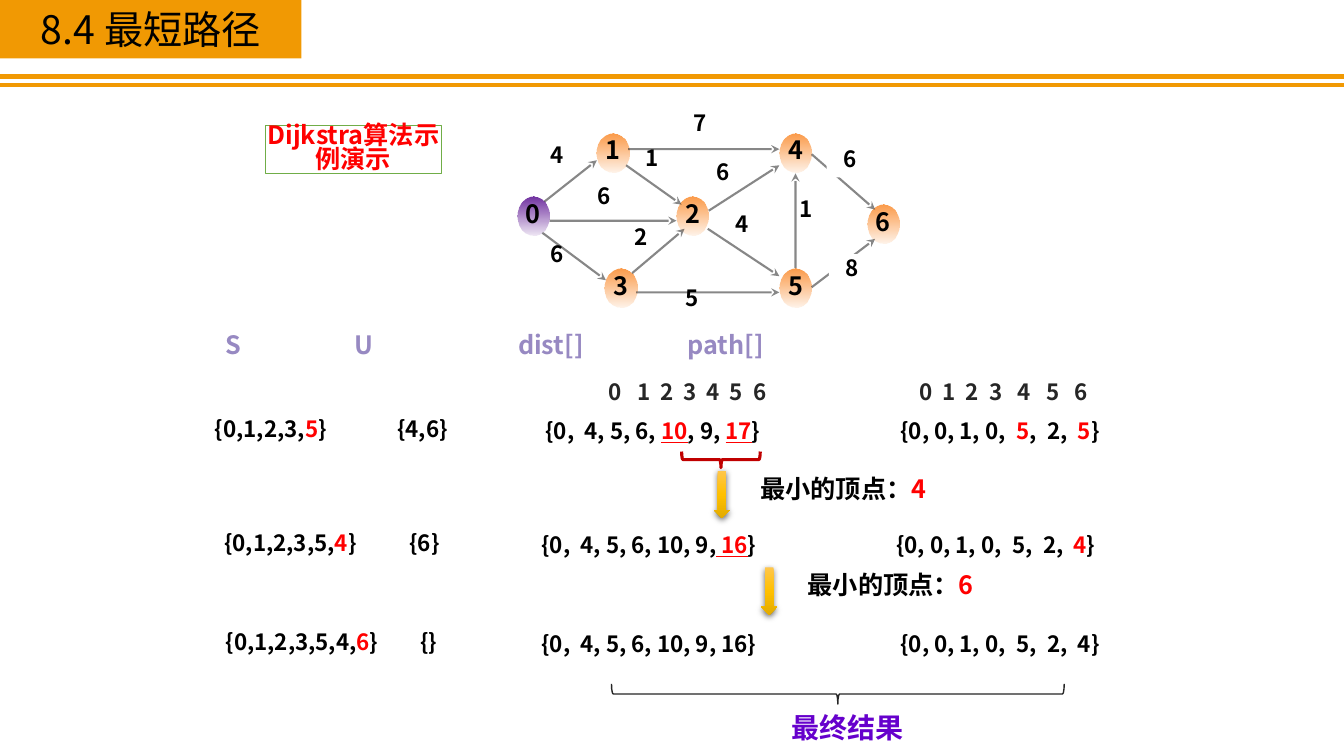
from lxml import etree
from pptx import Presentation
from pptx.dml.color import RGBColor
from pptx.enum.shapes import MSO_CONNECTOR, MSO_SHAPE as SHAPE
from pptx.enum.text import MSO_ANCHOR, MSO_AUTO_SIZE, PP_ALIGN as ALIGN
from pptx.oxml import parse_xml
from pptx.oxml.ns import nsdecls, qn
from pptx.util import Pt

PX = 9144
FONT = "Noto Sans CJK SC"
COLORS = {
    "bar": "F19903", "black": "000000", "dark": "262626", "white": "FFFFFF",
    "red": "FF0000", "brace": "C00000", "green": "70AD47", "head": "9789C2",
    "result": "6600CC", "start": "7030A0", "node": "FC9A48",
    "arrow_top": "FFC64B", "arrow_mid": "FFC000", "arrow_end": "E3AB00",
}
RGB = {name: RGBColor.from_string(value) for name, value in COLORS.items()}


def emu(*lengths):
    return [n * PX for n in lengths]


def write(sp, text, size=16, color="black", bold=True, inset=(0, 0, 0, 0),
          align=ALIGN.CENTER, tabs=(), underline=False):
    """Fill a shape with one paragraph; parts between bars turn red."""
    tf = sp.text_frame
    tf.word_wrap = True
    tf.auto_size = MSO_AUTO_SIZE.SHAPE_TO_FIT_TEXT
    tf.vertical_anchor = MSO_ANCHOR.TOP
    tf.margin_left, tf.margin_top, tf.margin_right, tf.margin_bottom = emu(*inset)
    p = tf.paragraphs[0]
    p.alignment = align
    p.line_spacing = 0.8
    if tabs:
        tab_list = etree.SubElement(p._p.get_or_add_pPr(), qn("a:tabLst"))
        for pos in tabs:
            etree.SubElement(tab_list, qn("a:tab"), pos=str(pos * PX), algn="l")
    for i, part in enumerate(text.split("|")):
        marked = i % 2 == 1
        r = p.add_run()
        r.text = part
        r.font.size = Pt(size)
        r.font.bold = bold
        r.font.color.rgb = RGB["red" if marked else color]
        if marked and underline:
            r.font.underline = True
        r.font.name = FONT
        etree.SubElement(r._r.get_or_add_rPr(), qn("a:ea"), typeface=FONT)


prs = Presentation()
prs.slide_width, prs.slide_height = emu(1333, 750)
s = prs.slides.add_slide(prs.slide_layouts[6])
shapes = s.shapes
PAD = (10, 5, 10, 5)
gradients = []

# Title bar
sp = shapes.add_shape(SHAPE.RECTANGLE, *emu(0, 0, 299, 58))
sp.shadow.inherit = False
sp.fill.solid()
sp.fill.fore_color.rgb = RGB["bar"]
sp.line.fill.background()
write(sp, "8.4 最短路径", 28, bold=False, inset=(6, 14, 6, 6))

# Graph nodes
nodes = [("0", 513, 195), ("1", 592, 132), ("3", 600, 266), ("2", 671, 195),
         ("4", 773, 132), ("5", 773, 266), ("6", 860, 203)]
for name, x, y in nodes:
    sp = shapes.add_shape(SHAPE.OVAL, *emu(x, y, 32, 39))
    sp.shadow.inherit = False
    sp.line.fill.background()
    write(sp, name, 18, inset=PAD)
    sp.text_frame.word_wrap = False
    sp.text_frame.auto_size = MSO_AUTO_SIZE.NONE
    sp.text_frame.vertical_anchor = MSO_ANCHOR.MIDDLE
    color = "start" if name == "0" else "node"
    gradients.append((sp, [(0, color, 100), (100, color, 10)]))

# Title rules and graph edges
rules = [(0, y, 1333, y) for y in (76, 84)]
edges = [
    (540, 200, 592, 159), (545, 219, 671, 219), (538, 231, 601, 278),
    (623, 148, 773, 148), (631, 290, 773, 290), (627, 271, 679, 227),
    (621, 164, 676, 203), (703, 209, 773, 164), (702, 227, 773, 274),
    (789, 266, 789, 172), (805, 285, 868, 237), (805, 153, 868, 208),
]
for ends in rules + edges:
    line = shapes.add_connector(MSO_CONNECTOR.STRAIGHT, *emu(*ends))
    is_edge = ends in edges
    line.line.color.rgb = RGB["dark" if is_edge else "bar"]
    line.line.width = Pt(1.5 if is_edge else 3)
    spPr = line._element.spPr
    if is_edge:
        ln = spPr.find(qn("a:ln"))
        etree.SubElement(ln.find(".//" + qn("a:srgbClr")), qn("a:alpha"), val="55000")
        etree.SubElement(ln, qn("a:tailEnd"), type="stealth")
    etree.SubElement(spPr, qn("a:effectLst"))

# Edge weights; the two on the right cover their edges
weights = [("4", 529, 140), ("7", 671, 108), ("6", 694, 157), ("1", 776, 194),
           ("6", 820, 144), ("8", 822, 252), ("5", 663, 282), ("6", 529, 238),
           ("6", 576, 181), ("2", 612, 222), ("4", 713, 209), ("1", 623, 143)]
for weight, x, y in weights:
    sp = shapes.add_textbox(*emu(x, y, 47, 32))
    if x >= 820:
        sp.fill.solid()
        sp.fill.fore_color.rgb = RGB["white"]
    write(sp, weight, inset=PAD)

# Column heads and vertex numbers
sp = shapes.add_textbox(*emu(214, 328, 898, 34))
write(sp, "S\tU\tdist[]\tpath[]", 18, "head", inset=PAD, align=ALIGN.LEFT,
      tabs=(128, 290, 458))
for x, width, inset, tabs in [(554, 258, 49, (29, 52, 75, 98, 121, 144)),
                              (852, 288, 60, (23, 46, 69, 97, 126, 154))]:
    sp = shapes.add_textbox(*emu(x, 380, width, 22))
    write(sp, "\t".join("0123456"), color="dark", inset=(inset, 0, 0, 0),
          align=ALIGN.LEFT, tabs=tabs)

# Steps: top, S and U with their boxes, dist and path with their left insets
steps = [
    (417, ("{0,1,2,3,|5|}", 204, 129), ("{4,6}", 340, 158),
     ("{0,\t4, 5, 6, |10|, 9, |17|}", 44), ("{0, 0, 1, 0,\t|5|,\t2,\t|5|}", 54)),
    (530, ("{0,1,2,3,5,|4|}", 204, 168), ("{6}", 372, 98),
     ("{0,\t4, 5, 6, 10, 9,| 16|}", 40), ("{0, 0, 1, 0,\t5,\t2,\t|4|}", 50)),
    (628, ("{0,1,2,3,5,4,|6|}", 204, 191), ("{}", 400, 50),
     ("{0,\t4, 5, 6, 10, 9, 16}", 40), ("{0, 0, 1, 0,\t5,\t2,\t4}", 54)),
]
for y, done, left, dist, path_row in steps:
    for text, x, width in (done, left):
        write(shapes.add_textbox(*emu(x, y, width, 22)), text)
    for (text, inset), x, tabs, underline in [(dist, 497, (39,), True),
                                              (path_row, 839, (115, 146, 176), False)]:
        sp = shapes.add_textbox(*emu(x, y + 2, 302, 22))
        write(sp, text, inset=(inset, 0, 0, 0), align=ALIGN.LEFT, tabs=tabs,
              underline=underline)

# Nearest vertex of each step
for vertex, x, y in [("4", 708, 467), ("6", 755, 563)]:
    sp = shapes.add_shape(SHAPE.DOWN_ARROW, *emu(x, y, 16, 47))
    sp.shadow.inherit = False
    sp.line.fill.background()
    sp._element.spPr.find(qn("a:effectLst")).append(parse_xml(
        f'<a:outerShdw {nsdecls("a")} blurRad="{Pt(4.5)}" dist="{Pt(1.5)}" dir="5400000">'
        f'<a:srgbClr val="{COLORS["black"]}"><a:alpha val="63000"/></a:srgbClr>'
        '</a:outerShdw>'))
    gradients.append((sp, [(0, "arrow_top", 100), (50, "arrow_mid", 100),
                           (100, "arrow_end", 100)]))
    sp = shapes.add_textbox(*emu(x + 23, y + 3, 211, 34))
    write(sp, f"最小的顶点：|{vertex}|", 18, inset=PAD)

for sp, stops in gradients:
    gs = "".join(
        f'<a:gs pos="{pos * 1000}"><a:srgbClr val="{COLORS[color]}">'
        f'<a:alpha val="{alpha * 1000}"/></a:srgbClr></a:gs>'
        for pos, color, alpha in stops)
    sp._element.spPr.find(qn("a:prstGeom")).addnext(parse_xml(
        f'<a:gradFill {nsdecls("a")} rotWithShape="1"><a:gsLst>{gs}</a:gsLst>'
        '<a:lin ang="5400000" scaled="0"/></a:gradFill>'))

# Braces and final result
for kind, box, turn, color, weight in [
        (SHAPE.RIGHT_BRACE, (707, 417, 16, 78), 90, "brace", 2.25),
        (SHAPE.LEFT_BRACE, (821, 464, 20, 449), 270, "dark", 1)]:
    sp = shapes.add_shape(kind, *emu(*box))
    sp.shadow.inherit = False
    sp.rotation = turn
    sp.fill.background()
    sp.line.color.rgb = RGB[color]
    sp.line.width = Pt(weight)
write(shapes.add_textbox(*emu(755, 706, 172, 37)), "最终结果", 20, "result", inset=PAD)

# Caption
sp = shapes.add_shape(SHAPE.RECTANGLE, *emu(263, 124, 175, 48))
sp.shadow.inherit = False
sp.fill.background()
sp.line.color.rgb = RGB["green"]
sp.line.width = Pt(0.5)
write(sp, "Dijkstra算法示例演示", 18, "red")

prs.save("out.pptx")
